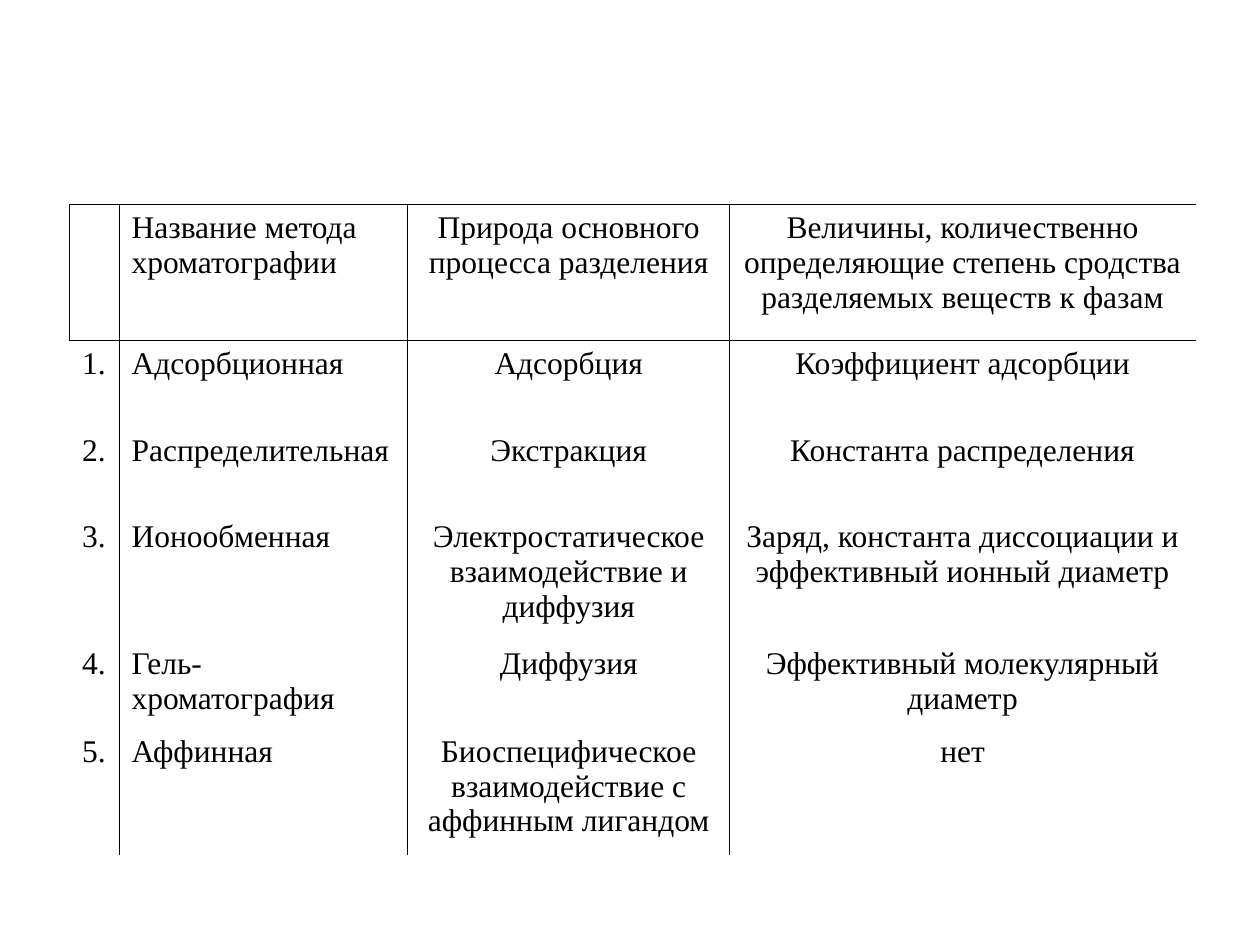
from dataclasses import dataclass

from lxml.etree import SubElement
from pptx import Presentation
from pptx.dml.color import RGBColor
from pptx.enum.text import MSO_ANCHOR, PP_ALIGN as Align
from pptx.oxml.ns import qn
from pptx.util import Cm, Pt


@dataclass(frozen=True)
class Theme:
    """Colours, type and line widths of the slide."""
    font: str = "Times New Roman"
    size: int = 18
    ink: str = "000000"
    rule: float = 0.45


THEME = Theme()
COL_WIDTHS = (1, 5.82, 6.49, 9.39)
ROW_HEIGHTS = (2.74, 1.74, 1.74, 2.56, 1.77, 2.56)
HEADER_ALIGN = (Align.LEFT, Align.LEFT, Align.CENTER, Align.CENTER)
BODY_ALIGN = (Align.JUSTIFY, Align.JUSTIFY, Align.CENTER, Align.CENTER)
ROWS = (
    ("", "Название метода хроматографии", "Природа основного процесса разделения",
     "Величины, количественно определяющие степень сродства разделяемых веществ к фазам"),
    ("1.", "Адсорбционная", "Адсорбция", "Коэффициент адсорбции"),
    ("2.", "Распределительная", "Экстракция", "Константа распределения"),
    ("3.", "Ионообменная", "Электростатическое взаимодействие и диффузия",
     "Заряд, константа диссоциации и эффективный ионный диаметр"),
    ("4.", "Гель-хроматография", "Диффузия", "Эффективный молекулярный диаметр"),
    ("5.", "Аффинная", "Биоспецифическое взаимодействие с аффинным лигандом", "нет"),
)


def set_borders(cell, sides):
    """Rule the sides named by letters (L, R, T, B) and clear the others."""
    tc_pr = cell._tc.get_or_add_tcPr()
    for side in "LRTB":
        ln = SubElement(tc_pr, qn(f"a:ln{side}"), w=str(Pt(THEME.rule)))
        if side in sides:
            fill = SubElement(ln, qn("a:solidFill"))
            SubElement(fill, qn("a:srgbClr"), val=THEME.ink)
        else:
            SubElement(ln, qn("a:noFill"))


def sides_for(row, col):
    """Return the ruled sides: a boxed header, then inner column rules."""
    last = len(COL_WIDTHS) - 1
    sides = "L" if col or row == 0 else ""
    sides += "R" if col < last else ""
    return sides + {0: "TB", 1: "T"}.get(row, "")


def write_cell(cell, text, align):
    """Put text in a cell with the theme's type."""
    cell.vertical_anchor = MSO_ANCHOR.TOP
    p = cell.text_frame.paragraphs[0]
    p.alignment = align
    if text:
        r = p.add_run()
        r.text = text
        for name, value in {"name": THEME.font, "size": Pt(THEME.size)}.items():
            setattr(r.font, name, value)
        r.font.color.rgb = RGBColor.from_string(THEME.ink)


def add_methods_table(s, left, top):
    """Add the table of chromatography methods with its corner at left, top (cm)."""
    table = s.shapes.add_table(
        len(ROWS), len(COL_WIDTHS), Cm(left), Cm(top),
        Cm(sum(COL_WIDTHS)), Cm(sum(ROW_HEIGHTS))).table
    for flag in ("first_row", "horz_banding"):
        setattr(table, flag, False)
    for column, width in zip(table.columns, COL_WIDTHS):
        column.width = Cm(width)
    for i, (texts, height) in enumerate(zip(ROWS, ROW_HEIGHTS)):
        table.rows[i].height = Cm(height)
        aligns = BODY_ALIGN if i else HEADER_ALIGN
        for j, (text, align) in enumerate(zip(texts, aligns)):
            cell = table.cell(i, j)
            write_cell(cell, text, align)
            set_borders(cell, sides_for(i, j))
            cell.fill.background()


def main():
    """Build the slide and save it."""
    prs = Presentation()
    prs.slide_width, prs.slide_height = Cm(25.4), Cm(19.05)
    s = prs.slides.add_slide(prs.slide_layouts[6])
    add_methods_table(s, 1.4, 4.12)
    prs.save("out.pptx")


main()
